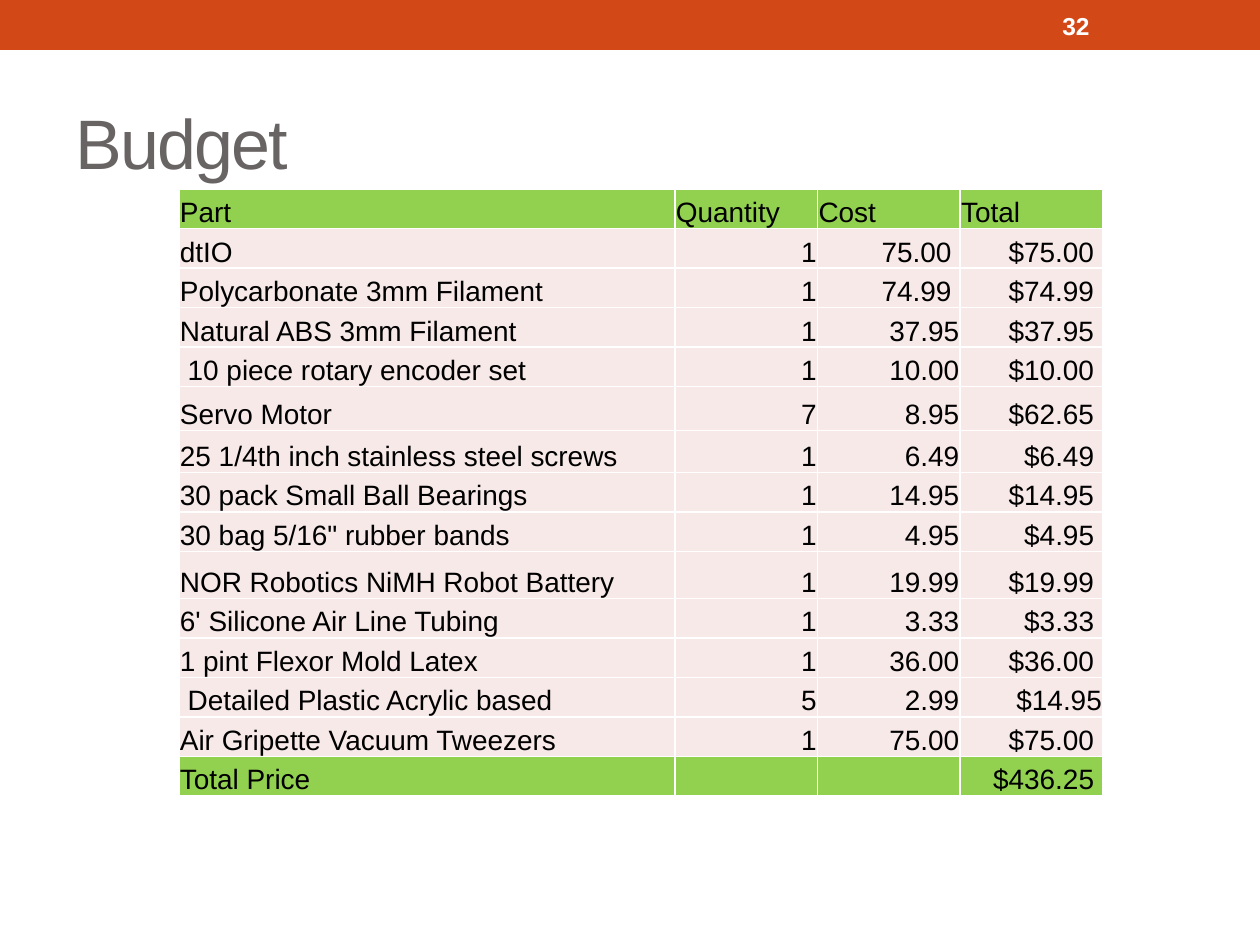
import pptx
import pptx.util
import pptx.dml.color
import pptx.enum.shapes
import pptx.enum.text
import pptx.oxml.ns
from lxml import etree

PX = 914400 // 126  # EMU in one px
FONT = "Arial"
ORANGE, GREEN, PINK = "D34817", "92D050", "F7E9E8"
GREY, WHITE, BLACK = "696464", "FFFFFF", "000000"
ALIGN = pptx.enum.text.PP_ALIGN
ANCHOR = pptx.enum.text.MSO_ANCHOR

HEAD = ("Part", "Quantity", "Cost", "Total")
PARTS = [
    ("dtIO", "1", "75.00 ", "$75.00 "),
    ("Polycarbonate 3mm Filament", "1", "74.99 ", "$74.99 "),
    ("Natural ABS 3mm Filament", "1", "37.95", "$37.95 "),
    (" 10 piece rotary encoder set", "1", "10.00", "$10.00 "),
    ("Servo Motor", "7", "8.95", "$62.65 "),
    ("25 1/4th inch stainless steel screws", "1", "6.49", "$6.49 "),
    ("30 pack Small Ball Bearings", "1", "14.95", "$14.95 "),
    ("30 bag 5/16\" rubber bands", "1", "4.95", "$4.95 "),
    ("NOR Robotics NiMH Robot Battery", "1", "19.99", "$19.99 "),
    ("6' Silicone Air Line Tubing", "1", "3.33", "$3.33 "),
    ("1 pint Flexor Mold Latex", "1", "36.00", "$36.00 "),
    (" Detailed Plastic Acrylic based", "5", "2.99", "$14.95"),
    ("Air Gripette Vacuum Tweezers", "1", "75.00", "$75.00 "),
]
SUM = ("Total Price", "", "", "$436.25 ")
TALL = {5: 44, 6: 42, 9: 47}  # rows higher than the rest


def px(num):
    return round(num * PX)


def tint(code):
    return pptx.dml.color.RGBColor.from_string(code)


def add_run(para, text, size, color, bold=False):
    run = para.add_run()
    run.text = text
    run.font.name = FONT
    run.font.size = pptx.util.Pt(size)
    run.font.bold = bold
    run.font.color.rgb = tint(color)
    return run


def add_text(slide, box, text, size, color, bold=False):
    frame = slide.shapes.add_textbox(*map(px, box)).text_frame
    frame.word_wrap = True
    frame.vertical_anchor = ANCHOR.MIDDLE
    return add_run(frame.paragraphs[0], text, size, color, bold)


def add_band(slide, box):
    left, top, wide, high = box
    band = slide.shapes.add_shape(
        pptx.enum.shapes.MSO_SHAPE.RECTANGLE, *map(px, box))
    band.shadow.inherit = False
    band.fill.solid()
    band.fill.fore_color.rgb = tint(ORANGE)
    band.line.fill.background()
    # Page number
    add_text(slide, (left + 1050, top + 3, 147, high - 5), "32", 14, WHITE, True)


def add_title(slide, box):
    run = add_text(slide, box, "Budget", 40, GREY)
    run.font._element.set("spc", "-100")


def set_edges(cell, color):
    qn = pptx.oxml.ns.qn
    props = cell._tc.get_or_add_tcPr()
    for side in ("lnL", "lnR", "lnT", "lnB"):
        edge = etree.SubElement(props, qn("a:" + side), w="12700")
        fill = etree.SubElement(edge, qn("a:solidFill"))
        etree.SubElement(fill, qn("a:srgbClr"), val=color)


def fill_cell(cell, text, fill, right):
    set_edges(cell, WHITE)
    cell.fill.solid()
    cell.fill.fore_color.rgb = tint(fill)
    cell.vertical_anchor = ANCHOR.BOTTOM
    cell.margin_left = cell.margin_right = cell.margin_top = px(1)
    cell.margin_bottom = 0
    para = cell.text_frame.paragraphs[0]
    if right:
        para.alignment = ALIGN.RIGHT
    if text:
        add_run(para, text, 16, BLACK)
    else:  # keeps an empty cell from stretching its row
        para._p.get_or_add_endParaRPr().set("sz", "1600")


def add_budget(slide, box):
    wide, high = box[2:]
    rows = [HEAD, *PARTS, SUM]
    table = slide.shapes.add_table(len(rows), len(HEAD), *map(px, box)).table
    table.first_row = table.horz_banding = False

    # The part column is wide, the others share what is left
    first = 496
    for idx, col in enumerate(table.columns):
        col.width = px((wide - first) / 3 if idx else first)
    rest = (high - sum(TALL.values())) / (len(rows) - len(TALL))
    for idx, row in enumerate(table.rows):
        row.height = px(TALL.get(idx, rest))

    for r, texts in enumerate(rows):
        fill = GREEN if texts in (HEAD, SUM) else PINK
        for c, text in enumerate(texts):
            fill_cell(table.cell(r, c), text, fill, r > 0 and c > 0)


def main():
    deck = pptx.Presentation()
    deck.slide_width, deck.slide_height = px(1260), px(945)
    slide = deck.slides.add_slide(deck.slide_layouts[6])
    add_band(slide, (0, 0, 1260, 50))
    add_title(slide, (63, 73, 1134, 136))
    add_budget(slide, (179, 189, 924, 607))
    deck.save("out.pptx")


if __name__ == "__main__":
    main()
